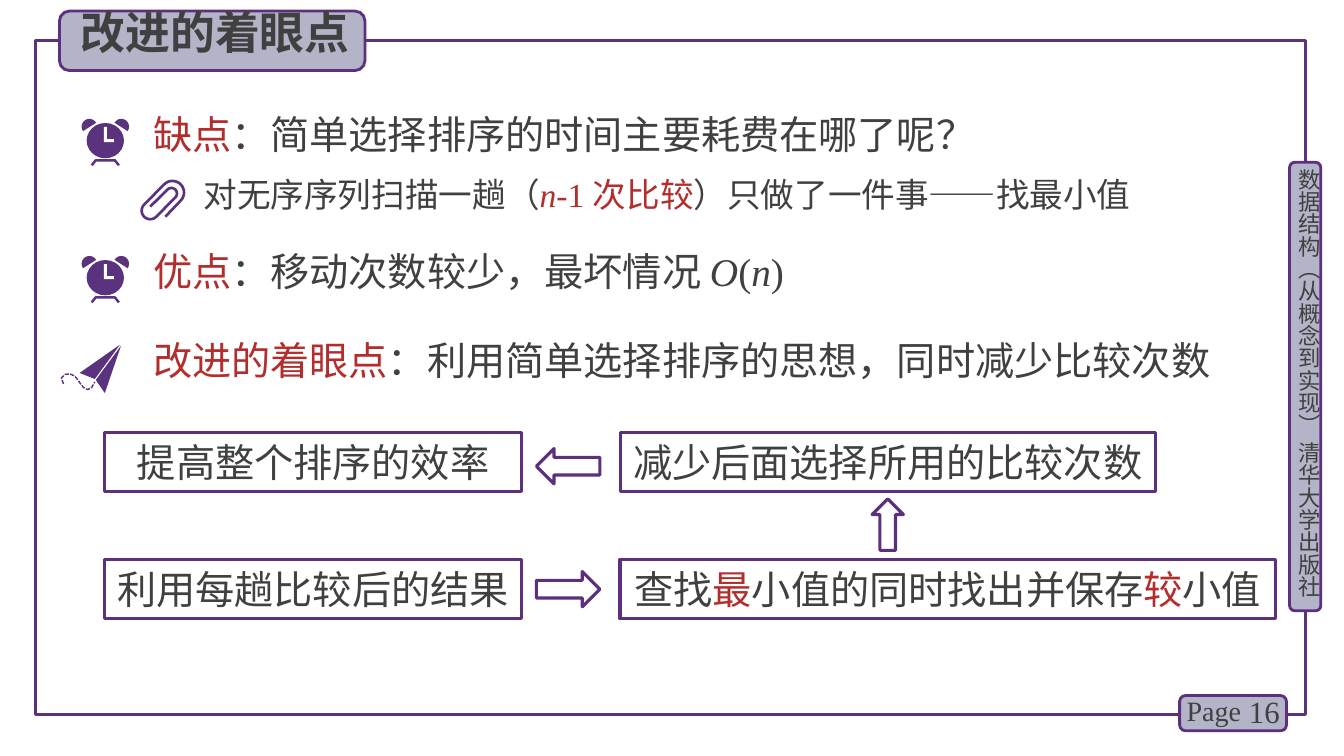
"""Build the slide on where simple selection sort can be improved."""
import math
import pptx
import pptx.util
import pptx.dml.color
import pptx.enum.dml
import pptx.enum.shapes
import pptx.enum.text
import pptx.oxml
import pptx.oxml.ns

HUES = {"frame": "5A327D", "edge": "5C307D", "badge": "B4B4C8",
        "ink": "404040", "red": "B42D2D", "white": "FFFFFF"}
HAN, LATIN = "Noto Sans CJK SC", "Times New Roman"
KIND = pptx.enum.shapes.MSO_SHAPE
ALIGN = pptx.enum.text.PP_ALIGN
ANCHOR = pptx.enum.text.MSO_ANCHOR
CELL = pptx.util.Inches(0.1)


def hue(name):
    return pptx.dml.color.RGBColor.from_string(HUES[name])


def arc(x, y, size, start, sweep, steps=16):
    turns = [math.radians(start + sweep * i / steps) for i in range(steps + 1)]
    return [(x + size * math.cos(t), y + size * math.sin(t)) for t in turns]


class Board:
    """Hold the style and the slide, with lengths in grid cells of a tenth of an inch."""

    def __init__(self, deck):
        self.slide = deck.slides.add_slide(deck.slide_layouts[5])
        self.shapes = self.slide.shapes

    def paint(self, shape, fill=None, line=None, width=2.25):
        shape.shadow.inherit = False
        if fill:
            shape.fill.solid()
            shape.fill.fore_color.rgb = hue(fill)
        else:
            shape.fill.background()
        if line:
            shape.line.color.rgb = hue(line)
            shape.line.width = pptx.util.Pt(width)
        else:
            shape.line.fill.background()
        return shape

    def form(self, kind, box, **look):
        shape = self.shapes.add_shape(kind, *(round(v * CELL) for v in box))
        return self.paint(shape, **look)

    def badge(self, box):
        return self.form(KIND.ROUNDED_RECTANGLE, box, fill="badge", line="edge", width=2)

    def trace(self, spots, closed=True, **look):
        spots = [(x * CELL, y * CELL) for x, y in spots]
        pen = self.shapes.build_freeform(*spots[0])
        pen.add_line_segments(spots[1:], close=closed)
        return self.paint(pen.convert_to_shape(), **look)

    def letter(self, shape, runs, size, align=ALIGN.LEFT, anchor=ANCHOR.TOP,
               space=None, inset=None):
        frame = shape.text_frame
        style = {"word_wrap": True, "vertical_anchor": anchor,
                 "auto_size": pptx.enum.text.MSO_AUTO_SIZE.NONE}
        if inset is not None:
            sides = ("left", "right", "top", "bottom")
            style.update({"margin_" + side: inset for side in sides})
        for key, value in style.items():
            setattr(frame, key, value)
        para = frame.paragraphs[0]
        for key, value in {"alignment": align, "line_spacing": space}.items():
            setattr(para, key, value)
        for text, tint, *more in runs:
            look = {"name": HAN, "size": pptx.util.Pt(size), "bold": False, "italic": False}
            look.update(*more)
            run = para.add_run()
            run.text = text
            for key, value in look.items():
                setattr(run.font, key, value)
            run.font.color.rgb = hue(tint)
        for latin in list(shape.element.iter(pptx.oxml.ns.qn("a:latin"))):
            latin.addnext(pptx.oxml.parse_xml(
                f'<a:ea {pptx.oxml.ns.nsdecls("a")} typeface="{HAN}"/>'))

    def label(self, box, runs, size, **look):
        shape = self.shapes.add_textbox(*(round(v * CELL) for v in box))
        self.letter(shape, runs, size, **look)
        return shape

    def title(self, box, text, size, under):
        shape = self.shapes.title
        for key, value in zip(("left", "top", "width", "height"), box):
            setattr(shape, key, round(value * CELL))
        self.letter(shape, [(text, "ink", {"bold": True})], size, space=0.87)
        under.element.addnext(shape.element)

    def clock(self, top):
        mid = 10.45
        bell = arc(8.87, top + 0.77, 0.77, 145, 185)
        self.trace(bell, fill="frame")
        self.trace([(2 * mid - x, y) for x, y in bell], fill="frame")
        self.form(KIND.OVAL, (8.6, top + 0.4, 3.7, 3.5), fill="frame")
        hand = [(10.3, 0.8), (10.6, 0.8), (10.6, 2), (11.3, 2), (11.3, 2.3), (10.3, 2.3)]
        self.trace([(x, top + y) for x, y in hand], fill="white")
        legs = [(9.1, 4.6), (9.5, 4.1), (11.4, 4.1), (11.8, 4.6)]
        self.trace([(x, top + y) for x, y in legs], closed=False, line="frame", width=1.75)

    def clip(self):
        wire = [(16.4, 21.5), *arc(17.1, 19.1, 1.15, 45, -180),
                *arc(14.9, 20.9, 0.85, 225, -180),
                *arc(17, 19.2, 0.55, 45, -180), (14.9, 20.5)]
        self.trace(wire, closed=False, line="frame", width=1.9)

    def plane(self):
        self.trace([(12, 34.3), (10.4, 39), (9.5, 37.7)], fill="frame")
        self.trace([(11.9, 34.2), (9.4, 37.6), (7.9, 37)], fill="frame")
        trail = [(6.3, 38.1), (6.1, 37.5), (6.45, 37.15), (6.95, 37.1), (7.4, 37.3),
                 (7.7, 37.65), (8, 38.1), (8.3, 38.45), (8.7, 38.65), (9.1, 38.45),
                 (9.4, 37.9)]
        tail = self.trace(trail, closed=False, line="frame", width=1)
        tail.line.dash_style = pptx.enum.dml.MSO_LINE.SQUARE_DOT


def main():
    deck = pptx.Presentation()
    deck.slide_width = pptx.util.Inches(13.33)
    deck.slide_height = pptx.util.Inches(7.5)
    board = Board(deck)
    roman, slant = {"name": LATIN}, {"name": LATIN, "italic": True}

    board.form(KIND.RECTANGLE, (3.5, 4, 126, 66.9), line="frame")
    board.badge((127.9, 16.1, 3.1, 44.5))
    spine = board.label((128.5, 16.7, 2.7, 44.9),
                        [("数据结构（从概念到实现） 清华大学出版社", "ink")], 16, inset=0)
    spine.element.find(".//" + pptx.oxml.ns.qn("a:bodyPr")).set("vert", "eaVert")
    board.badge((117, 69, 10.6, 3.5))
    board.label((122, 68.6, 5.9, 4), [("16", "ink", roman)], 22,
                align=ALIGN.RIGHT, anchor=ANCHOR.MIDDLE)
    board.label((116.7, 68.3, 7.8, 4.4), [("Page", "ink", roman)], 20)
    board.title((7, 0.7, 31.5, 6.4), "改进的着眼点", 32,
                board.badge((5.9, 1.1, 30.3, 5.9)))

    points = [
        (11.1, 85.3, [("缺点", "red"), ("：简单选择排序的时间主要耗费在哪了呢？", "ink")]),
        (24.7, 85.3, [("优点", "red"), ("：移动次数较少，最坏情况", "ink"), (" O", "ink", slant),
                      ("(", "ink", roman), ("n", "ink", slant), (")", "ink", roman)]),
        (33.5, 109.7, [("改进的着眼点", "red"),
                       ("：利用简单选择排序的思想，同时减少比较次数", "ink")])]
    for top, width, runs in points:
        board.label((14.2, top, width, 5.7), runs, 28, space=0.87)
    board.label((19.2, 17.4, 94.5, 5),
                [("对无序序列扫描一趟（", "ink"), ("n", "red", slant),
                 ("-1 次比较", "red", roman), ("）只做了一件事——找最小值", "ink")],
                24, space=0.85)
    for top in (11.8, 25.4):
        board.clock(top)
    board.clip()
    board.plane()

    left, right, upper, lower = 10.4, 61.5, 42.9, 55.5
    steps = [
        (left, lower, 41.3, [("利用每趟比较后的结果", "ink")]),
        (right, lower, 65, [("查找", "ink"), ("最", "red"), ("小值的同时找出并保存", "ink"),
                            ("较", "red"), ("小值", "ink")]),
        (right, upper, 53.1, [("减少后面选择所用的比较次数", "ink")]),
        (left, upper, 41.3, [("提高整个排序的效率", "ink")])]
    for x, y, width, runs in steps:
        step = board.form(KIND.RECTANGLE, (x, y, width, 5.9), line="edge")
        board.letter(step, runs, 28, align=ALIGN.CENTER, anchor=ANCHOR.MIDDLE)
    for kind, box in ((KIND.RIGHT_ARROW, (53.2, 56.7, 6.3, 3.5)),
                      (KIND.UP_ARROW, (86.5, 49.5, 3.1, 5.1)),
                      (KIND.LEFT_ARROW, (53.2, 44.5, 6.3, 3.5))):
        board.form(kind, box, line="edge")
    deck.save("out.pptx")


if __name__ == "__main__":
    main()
